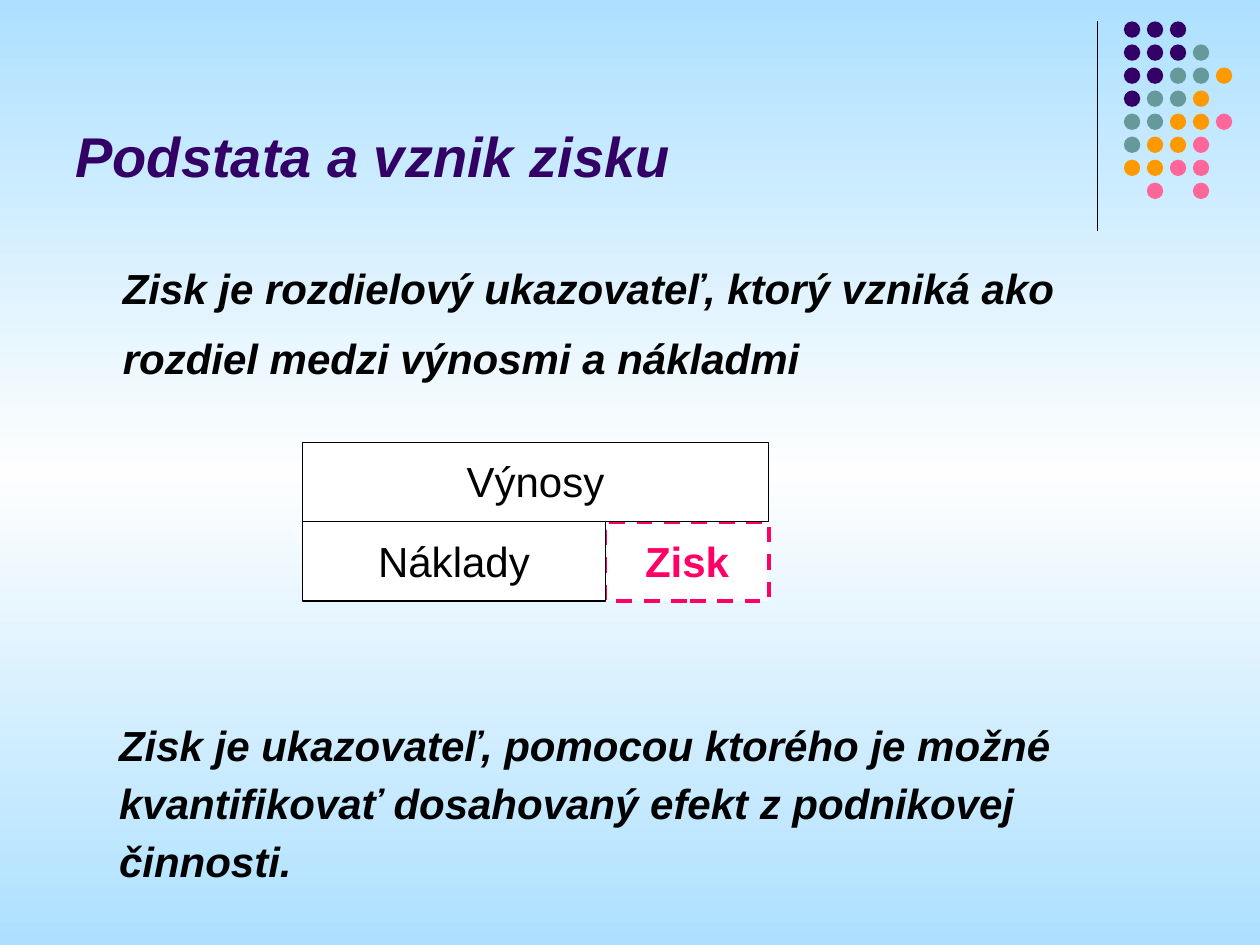
from copy import deepcopy
from dataclasses import dataclass

from lxml import etree
from pptx import Presentation
from pptx.dml.color import RGBColor
from pptx.enum.dml import MSO_LINE
from pptx.enum.shapes import MSO_CONNECTOR, MSO_SHAPE
from pptx.enum.text import MSO_ANCHOR, PP_ALIGN
from pptx.oxml.ns import qn
from pptx.util import Inches, Pt

RECT, OVAL = MSO_SHAPE.RECTANGLE, MSO_SHAPE.OVAL
LINE = MSO_CONNECTOR.STRAIGHT
DASH = MSO_LINE.DASH
TOP, LOW = MSO_ANCHOR.TOP, MSO_ANCHOR.BOTTOM
LEFT, MID = PP_ALIGN.LEFT, PP_ALIGN.CENTER

WIDE, HIGH = Inches(10), Inches(7.5)
COL, ROW = WIDE / 100, HIGH / 75


@dataclass(frozen=True)
class Theme:
    font: str = "Arial"
    head: int = 32
    body: int = 24
    ink: str = "000000"
    white: str = "FFFFFF"
    plum: str = "330066"
    teal: str = "669999"
    gold: str = "FF9900"
    rose: str = "FF6699"
    pink: str = "FF0066"
    sky: str = "ADE0FF"
    pale: str = "FEFEFE"
    thin: float = 0.75
    thick: float = 2.25


THEME = Theme()
DOTS = ("PPP", "PPPT", "PPTTG", "PTTG", "TTGGR", "TGGR", "GGRR", " R R")
HUES = {"P": THEME.plum, "T": THEME.teal, "G": THEME.gold, "R": THEME.rose}


def tint(name):
    return RGBColor.from_string(name)


def place(box):
    left, top, wide, high = box
    return [round(n) for n in (left * COL, top * ROW, wide * COL, high * ROW)]


def write(frame, text, size=THEME.body, hue=THEME.ink, bold=True,
          slant=True, align=LEFT, anchor=TOP, lead=1.15):
    frame.word_wrap = True
    frame.vertical_anchor = anchor
    frame.text = text
    line = frame.paragraphs[0]
    line.alignment = align
    line.line_spacing = lead
    font = line.runs[0].font
    font.name, font.size = THEME.font, Pt(size)
    font.bold, font.italic = bold, slant
    font.color.rgb = tint(hue)


def paint(slide):
    fill = slide.background.fill
    fill.gradient()
    fill.gradient_angle = 270
    stops = slide.element.find(".//" + qn("a:gsLst"))
    stops.append(deepcopy(stops[0]))
    hues = (THEME.sky, THEME.pale, THEME.sky)
    for step, (stop, hue) in enumerate(zip(fill.gradient_stops, hues)):
        stop.position = step / 2
        stop.color.rgb = tint(hue)


def add_rule(slide, box):
    left, top, wide, high = place(box)
    rule = slide.shapes.add_connector(LINE, left, top, left + wide, top + high)
    rule.line.color.rgb = tint(THEME.ink)
    rule.line.width = Pt(THEME.thin)
    etree.SubElement(rule.element.spPr, qn("a:effectLst"))


def add_dots(slide, box, size=1.3):
    left, top, wide, high = box
    across = (wide - size) / (max(map(len, DOTS)) - 1)
    down = (high - size) / (len(DOTS) - 1)
    group = slide.shapes.add_group_shape()
    for row, marks in enumerate(DOTS):
        for col, mark in enumerate(marks):
            if mark in HUES:
                spot = (left + col * across, top + row * down, size, size)
                dot = group.shapes.add_shape(OVAL, *place(spot))
                dot.shadow.inherit = False
                dot.fill.solid()
                dot.fill.fore_color.rgb = tint(HUES[mark])
                dot.line.fill.background()


def add_text(slide, box, text, inset=0, **style):
    frame = slide.shapes.add_textbox(*place(box)).text_frame
    frame.margin_left = Inches(0.1) + round(inset * COL)
    write(frame, text, **style)


def add_block(slide, box, text, hue=THEME.ink, width=THEME.thin, bold=False):
    block = slide.shapes.add_shape(RECT, *place(box))
    block.shadow.inherit = False
    block.fill.solid()
    block.fill.fore_color.rgb = tint(THEME.white)
    block.line.color.rgb = tint(hue)
    block.line.width = Pt(width)
    write(block.text_frame, text, hue=hue, bold=bold, slant=False, align=MID)
    return block


def add_chart(slide, box, share=0.65):
    left, top, wide, high = box
    half, cost = high / 2, wide * share
    low = top + half
    gain = add_block(slide, (left + cost, low, wide - cost, half), "Zisk",
                     THEME.pink, THEME.thick, True)
    gain.line.dash_style = DASH
    add_block(slide, (left, top, wide, half), "Výnosy")
    add_block(slide, (left, low, cost, half), "Náklady")


def main():
    deck = Presentation()
    deck.slide_width, deck.slide_height = WIDE, HIGH
    slide = deck.slides.add_slide(deck.slide_layouts[6])
    paint(slide)
    add_rule(slide, (87.1, 1.7, 0, 16.6))
    add_dots(slide, (89.2, 1.7, 8.6, 14.1))
    add_text(slide, (5, 7, 82.5, 8.5), "Podstata a vznik zisku",
             size=THEME.head, hue=THEME.plum, anchor=LOW, lead=1)
    add_text(slide, (5, 18.8, 90, 12.2),
             "Zisk je rozdielový ukazovateľ, ktorý vzniká ako rozdiel "
             "medzi výnosmi a nákladmi", inset=3.75, lead=1.39)
    add_chart(slide, (24, 35.1, 37, 12.6))
    add_text(slide, (4.7, 56, 90.8, 14.2),
             "Zisk je ukazovateľ, pomocou ktorého je možné kvantifikovať "
             "dosahovaný efekt z podnikovej činnosti.", inset=3.75)
    deck.save("out.pptx")


if __name__ == "__main__":
    main()
